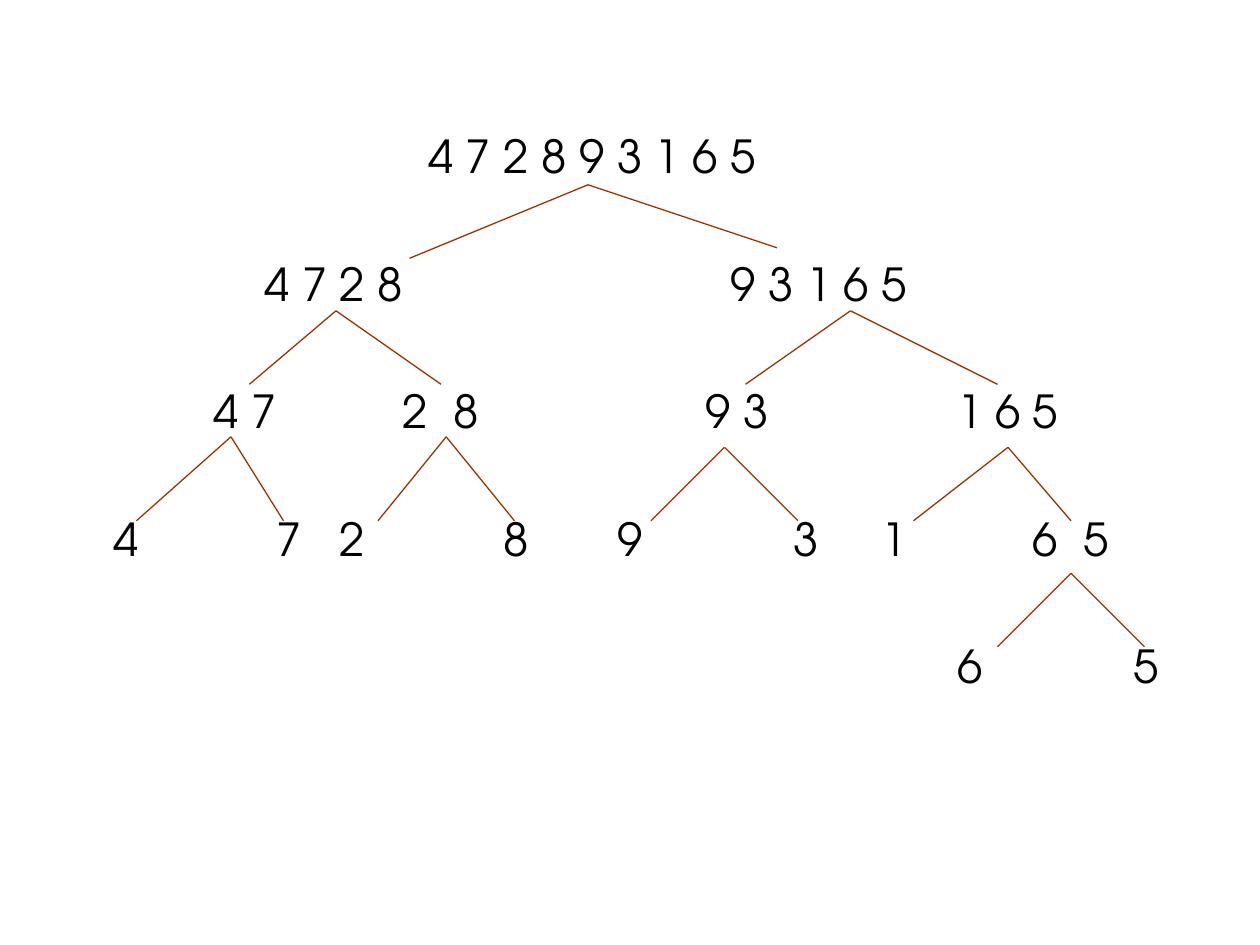
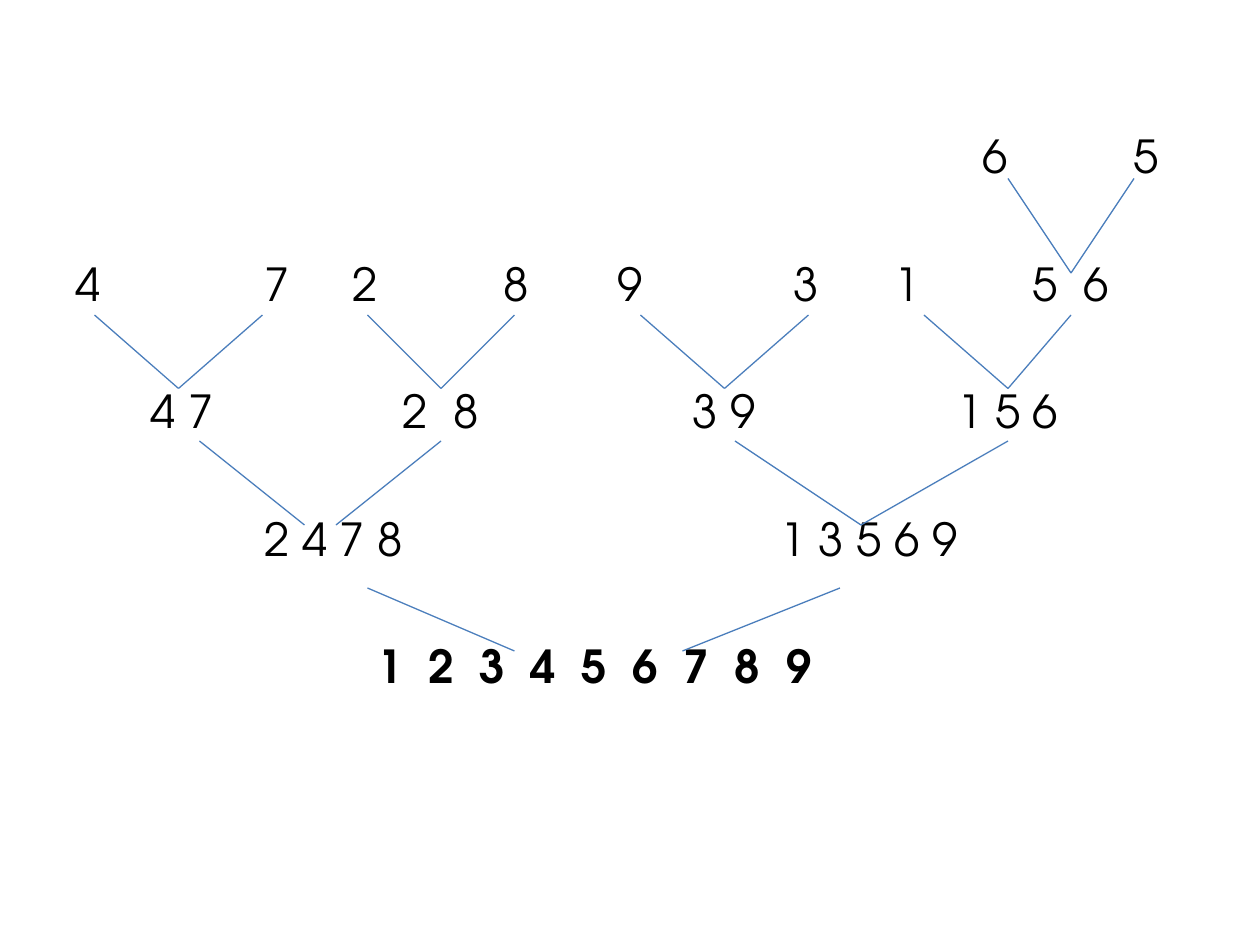
from pptx import Presentation, util as u
from pptx.dml.color import RGBColor
from pptx.enum import shapes
from pptx.oxml.ns import qn
from lxml import etree

COLORS = {"text": "000000", "split": "993300", "merge": "4B7EBC"}
FONT = "TeX Gyre Adventor"
SIZE = 26
COLUMN = 7.2
ROW_GAP = 41.6


def add_rows(s, rows, bold_row=None):
    sp = s.shapes.add_textbox(u.Pt(36), u.Pt(69.84), u.Pt(648), u.Pt(356.4))
    tf = sp.text_frame
    tf.word_wrap = True
    for i, row in enumerate(rows):
        p = tf.paragraphs[0] if i == 0 else tf.add_paragraph()
        p.text = "".join(("\t" if col else "") + group for col, group in row)
        tabs = etree.SubElement(p._p.get_or_add_pPr(), qn("a:tabLst"))
        for col, group in row:
            if col:
                etree.SubElement(tabs, qn("a:tab"), pos=str(u.Pt(col * COLUMN)), algn="l")
        if i:
            p.space_before = u.Pt(ROW_GAP)
        for r in p.runs:
            r.font.name = FONT
            r.font.size = u.Pt(SIZE)
            r.font.bold = i == bold_row
            r.font.color.rgb = RGBColor.from_string(COLORS["text"])


def add_branches(s, levels, color):
    for top, bottom, branches in levels:
        for x1, x2 in branches:
            c = s.shapes.add_connector(shapes.MSO_CONNECTOR.STRAIGHT,
                                       u.Pt(x1), u.Pt(top), u.Pt(x2), u.Pt(bottom))
            c.line.width = u.Pt(0.75)
            c.line.color.rgb = RGBColor.from_string(COLORS[color])
            etree.SubElement(c._element.spPr, qn("a:effectLst"))


prs = Presentation()
prs.slide_width, prs.slide_height = u.Pt(720), u.Pt(540)
blank = prs.slide_layouts[6]

split_rows = [
    [(28, "4 7 2 8 9 3 1 6 5")],
    [(15, "4 7 2 8"), (52, "9 3 1 6 5")],
    [(11, "4 7"), (26, "2"), (30, "8"), (50, "9 3"), (70, "1 6 5")],
    [(3, "4"), (16, "7"), (21, "2"), (34, "8"), (43, "9"), (57, "3"),
     (64, "1"), (76, "6"), (80, "5")],
    [(70, "6"), (84, "5")],
]
split_levels = [
    (105.6, 147.6, [(336, 234)]),
    (105.6, 141.6, [(336, 444)]),
    (177.6, 219.6, [(192, 142.5), (192, 252), (486, 426), (486, 570)]),
    (249.6, 297.6, [(132, 78), (132, 162), (255, 216), (255, 294)]),
    (255.6, 297.6, [(414, 372), (414, 456), (576, 522), (576, 612)]),
    (327.6, 369.6, [(612, 570), (612, 654)]),
]
s = prs.slides.add_slide(blank)
add_rows(s, split_rows)
add_branches(s, split_levels, "split")

merge_rows = [
    [(72, "6"), (84, "5")],
    [(0, "4"), (15, "7"), (22, "2"), (34, "8"), (43, "9"), (57, "3"),
     (65, "1"), (76, "5"), (80, "6")],
    [(6, "4 7"), (26, "2"), (30, "8"), (49, "3 9"), (70, "1 5 6")],
    [(15, "2 4 7 8"), (56, "1 3 5 6 9")],
    [(24 + 4.05 * i, str(i + 1)) for i in range(9)],
]
merge_levels = [
    (102, 156, [(576, 612), (648, 612)]),
    (180, 222, [(528, 576), (612, 576), (54, 102), (150, 102),
                (210, 252), (294, 252), (366, 414), (462, 414)]),
    (252, 300, [(114, 174), (252, 192), (420, 492), (576, 492)]),
    (336, 372, [(210, 294), (480, 390)]),
]
s = prs.slides.add_slide(blank)
add_rows(s, merge_rows, bold_row=4)
add_branches(s, merge_levels, "merge")

prs.save("out.pptx")
